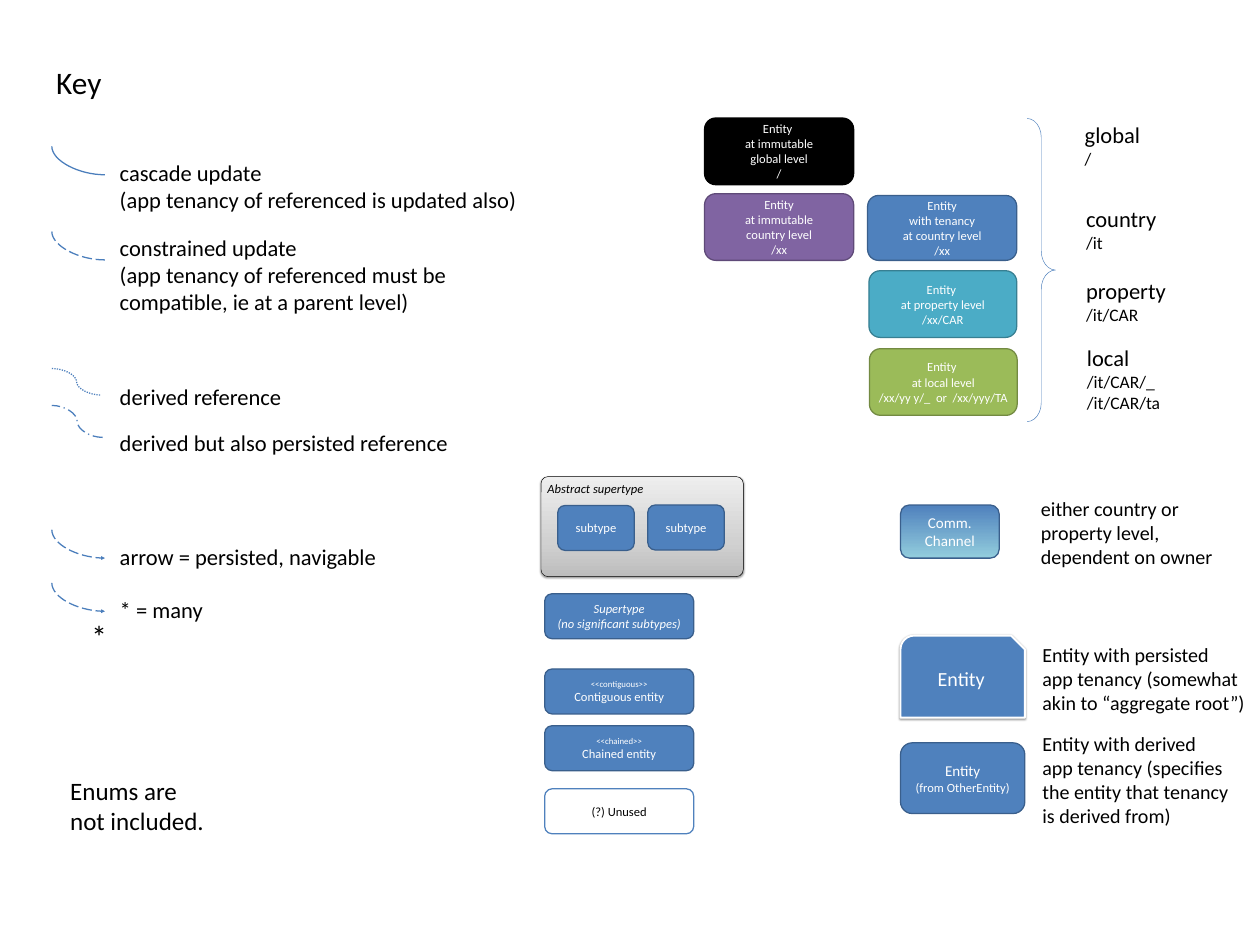
from lxml.etree import SubElement
from pptx import Presentation
from pptx.dml.color import RGBColor
from pptx.enum.dml import MSO_LINE_DASH_STYLE as DASH
from pptx.enum.shapes import MSO_CONNECTOR, MSO_SHAPE as SHAPE
from pptx.enum.text import MSO_ANCHOR, MSO_AUTO_SIZE, PP_ALIGN
from pptx.oxml.ns import qn
from pptx.util import Inches, Pt

THEME = dict(
    font="Calibri", black="000000", white="FFFFFF", blue="4F81BD", blue_edge="3A5F8C",
    purple="8064A2", purple_edge="5F4A78", teal="4BACC6", teal_edge="377F92",
    green="9BBB59", green_edge="738A42", stroke="4B7EBC",
    greys=[(0, "BDBDBD"), (35, "D1D1D1"), (100, "EEEEEE")],
    blues=[(0, "4F81BD"), (100, "93CDDD")],
    title=50, closing=40, label=36, note=32, path=28, medium=24, small=20, tiny=14,
)
T = THEME
SIZE = (27.97, 21)

LEGEND_X, MEANING_X = 1.15, 2.56
LABELS = [
    (LEGEND_X, 1.36, 1.22, 0.94, "title", ["Key"]),
    (1.93, 13.65, 0.55, 0.94, "title", ["*"]),
    (MEANING_X, 3.49, 9.08, 1.31, "label",
     ["cascade update\n(app tenancy of referenced is updated also)"]),
    (MEANING_X, 5.14, 7.51, 1.92, "label",
     ["constrained update", "(app tenancy of referenced must be\ncompatible, ie at a parent level)"]),
    (MEANING_X, 8.45, 3.82, 0.71, "label", ["derived reference"]),
    (MEANING_X, 9.48, 7.54, 0.71, "label", ["derived but also persisted reference"]),
    (MEANING_X, 12, 5.94, 0.71, "label", ["arrow = persisted, navigable"]),
    (MEANING_X, 13.19, 2.06, 0.71, "label", ["* = many"]),
    (1.46, 17.16, 3.2, 1.45, "closing", ["Enums are\nnot included."]),
    (23.98, 2.63, 1.44, 1.18, "path", [[("global\n", "label"), ("/", "path")]]),
    (24.01, 4.51, 1.78, 1.18, "path", [[("country\n", "label"), ("/it", "path")]]),
    (24.01, 6.09, 1.99, 1.18, "path", [[("property\n", "label"), ("/it/CAR", "path")]]),
    (24.03, 7.59, 1.85, 1.65, "path", [[("local\n", "label"), ("/it/CAR/_", "path")], "/it/CAR/ta"]),
    (23.01, 10.98, 4.05, 1.72, "note", ["either country or\nproperty level,\ndependent on owner"]),
    (23.04, 14.22, 4.74, 1.72, "note",
     ["Entity with persisted\napp tenancy (somewhat\nakin to “aggregate root”)"]),
    (23.04, 16.18, 4.38, 2.26, "note",
     ["Entity with derived\napp tenancy (specifies", "the entity that tenancy", "is derived from)"]),
]

TENANCY_LEVELS = [
    (15.64, 2.62, 3.31, 1.48, "black", "black", ["Entity \nat immutable\nglobal level", "/"]),
    (15.64, 4.3, 3.31, 1.48, "purple", "purple_edge", ["Entity\nat immutable\ncountry level", "/xx"]),
    (19.26, 4.34, 3.31, 1.44, "blue", "blue_edge", ["Entity\nwith tenancy\nat country level\n/xx"]),
    (19.29, 6.01, 3.28, 1.48, "teal", "teal_edge", ["Entity \nat property level", "/xx/CAR"]),
    (19.3, 7.74, 3.28, 1.48, "green", "green_edge",
     ["Entity \nat local level\n/xx/yy y/_  or  /xx/yyy/TA"]),
]

ENTITY_KINDS = [
    (13.18, ["Supertype\n(no significant subtypes)"], dict(italic=True)),
    (14.85, [[("<<contiguous>>\n", "tiny"), ("Contiguous entity", "small")]], {}),
    (16.11, [[("<<chained>>\n", "tiny"), ("Chained entity", "small")]], {}),
    (17.51, ["(?) Unused"], dict(fill="white", edge="blue", color="black")),
]
SUBTYPES = [(12.38, 11.22), (14.38, 11.21)]

CURVES = [
    (3.25, DASH.SOLID, False),
    (5.14, DASH.LONG_DASH, False),
    (11.76, DASH.LONG_DASH, True),
    (12.94, DASH.LONG_DASH, True),
]
WAVES = [
    (1.15, 8.18, 2.25, 8.77, DASH.ROUND_DOT),
    (2.28, 9.71, 1.15, 9, DASH.LONG_DASH_DOT),
]
CURVE_WIDTH, CURVE_HEIGHT = 1.18, 0.63

deck = Presentation()
deck.slide_width, deck.slide_height = map(Inches, SIZE)
slide = deck.slides.add_slide(deck.slide_layouts[6])
shapes = slide.shapes


def rgb(name):
    return RGBColor.from_string(T[name])


def write(frame, paragraphs, size="small", color="black", italic=None, align=None):
    for index, content in enumerate(paragraphs):
        paragraph = frame.paragraphs[0] if index == 0 else frame.add_paragraph()
        paragraph.alignment = align
        pieces = [(content, size)] if isinstance(content, str) else content
        for words, piece_size in pieces:
            for row, line in enumerate(words.split("\n")):
                if row:
                    paragraph.add_line_break()
                if line:
                    run = paragraph.add_run()
                    run.text = line
                    run.font.name = T["font"]
                    run.font.size = Pt(T[piece_size])
                    run.font.color.rgb = rgb(color)
                    run.font.italic = italic


def paint(shape, fill, angle):
    if fill is None:
        shape.fill.background()
    elif isinstance(T[fill], str):
        shape.fill.solid()
        shape.fill.fore_color.rgb = rgb(fill)
    else:
        shape.fill.gradient()
        shape.fill.gradient_angle = angle
        stops = shape.element.spPr.find(qn("a:gradFill")).find(qn("a:gsLst"))
        for stop in list(stops):
            stops.remove(stop)
        for share, tone in T[fill]:
            stop = SubElement(stops, qn("a:gs"), pos=str(share * 1000))
            SubElement(stop, qn("a:srgbClr"), val=tone)


def cast_shadow(shape):
    effects = shape.element.spPr.find(qn("a:effectLst"))
    outer = SubElement(effects, qn("a:outerShdw"), blurRad="40000", dist="20000",
                       dir="5400000", rotWithShape="0")
    tone = SubElement(outer, qn("a:srgbClr"), val=T["black"])
    SubElement(tone, qn("a:alpha"), val="38000")


def box(x, y, w, h, paragraphs=(), fill="blue", edge="blue_edge", kind=SHAPE.ROUNDED_RECTANGLE,
        weight=2, adjust=(), angle=0, shadow=False, anchor=MSO_ANCHOR.MIDDLE,
        align=PP_ALIGN.CENTER, color="white", **text_format):
    shape = shapes.add_shape(kind, *map(Inches, (x, y, w, h)))
    for index, value in enumerate(adjust):
        shape.adjustments[index] = value
    paint(shape, fill, angle)
    shape.line.color.rgb = rgb(edge)
    shape.line.width = Pt(weight)
    shape.shadow.inherit = False
    if shadow:
        cast_shadow(shape)
    shape.text_frame.vertical_anchor = anchor
    write(shape.text_frame, paragraphs, align=align, color=color, **text_format)


def connect(x1, y1, x2, y2, dash, arrow=False):
    link = shapes.add_connector(MSO_CONNECTOR.CURVE, *map(Inches, (x1, y1, x2, y2)))
    link.line.color.rgb = rgb("stroke")
    link.line.width = Pt(2)
    link.line.dash_style = dash
    if arrow:
        SubElement(link.element.spPr.find(qn("a:ln")), qn("a:tailEnd"), type="triangle")
    SubElement(link.element.spPr, qn("a:effectLst"))
    return link


def quarter_curve(y, dash, arrow):
    w, h = CURVE_WIDTH, CURVE_HEIGHT
    link = connect(LEGEND_X, y, LEGEND_X + w, y + h, dash, arrow)
    link.left, link.top = Inches(LEGEND_X + (w - h) / 2), Inches(y + (h - w) / 2)
    link.width, link.height = Inches(h), Inches(w)
    frame = link.element.spPr.find(qn("a:xfrm"))
    frame.set("rot", "16200000")
    frame.set("flipH", "1")
    link.element.spPr.find(qn("a:prstGeom")).set("prst", "curvedConnector2")


for x, y, w, h, size, paragraphs in LABELS:
    label = shapes.add_textbox(*map(Inches, (x, y, w, h))).text_frame
    label.word_wrap = False
    label.auto_size = MSO_AUTO_SIZE.SHAPE_TO_FIT_TEXT
    write(label, paragraphs, size=size)

for curve in CURVES:
    quarter_curve(*curve)
for wave in WAVES:
    connect(*wave)

for x, y, w, h, fill, edge, paragraphs in TENANCY_LEVELS:
    box(x, y, w, h, paragraphs, fill, edge)
box(22.8, 2.63, 0.63, 6.73, fill=None, edge="stroke", kind=SHAPE.RIGHT_BRACE,
    weight=0.75, adjust=(0.67, 0.5))

box(12.01, 10.58, 4.49, 2.22, ["Abstract supertype"], "greys", "black", weight=0.75,
    adjust=(0.07,), angle=90, shadow=True, anchor=MSO_ANCHOR.TOP, align=PP_ALIGN.LEFT,
    color="black", italic=True)
for x, y in SUBTYPES:
    box(x, y, 1.7, 1, ["subtype"])
for y, paragraphs, look in ENTITY_KINDS:
    box(12.09, y, 3.31, 1, paragraphs, **look)

box(19.99, 11.21, 2.19, 1.18, ["Comm.\nChannel"], "blues", angle=270, size="medium")
box(19.99, 14.11, 2.76, 1.82, ["Entity"], edge="white", kind=SHAPE.SNIP_ROUND_RECTANGLE,
    weight=3, shadow=True, size="note")
box(19.99, 16.49, 2.76, 1.57, [[("Entity\n", "medium"), ("(from OtherEntity)", "small")]])

deck.save("out.pptx")
